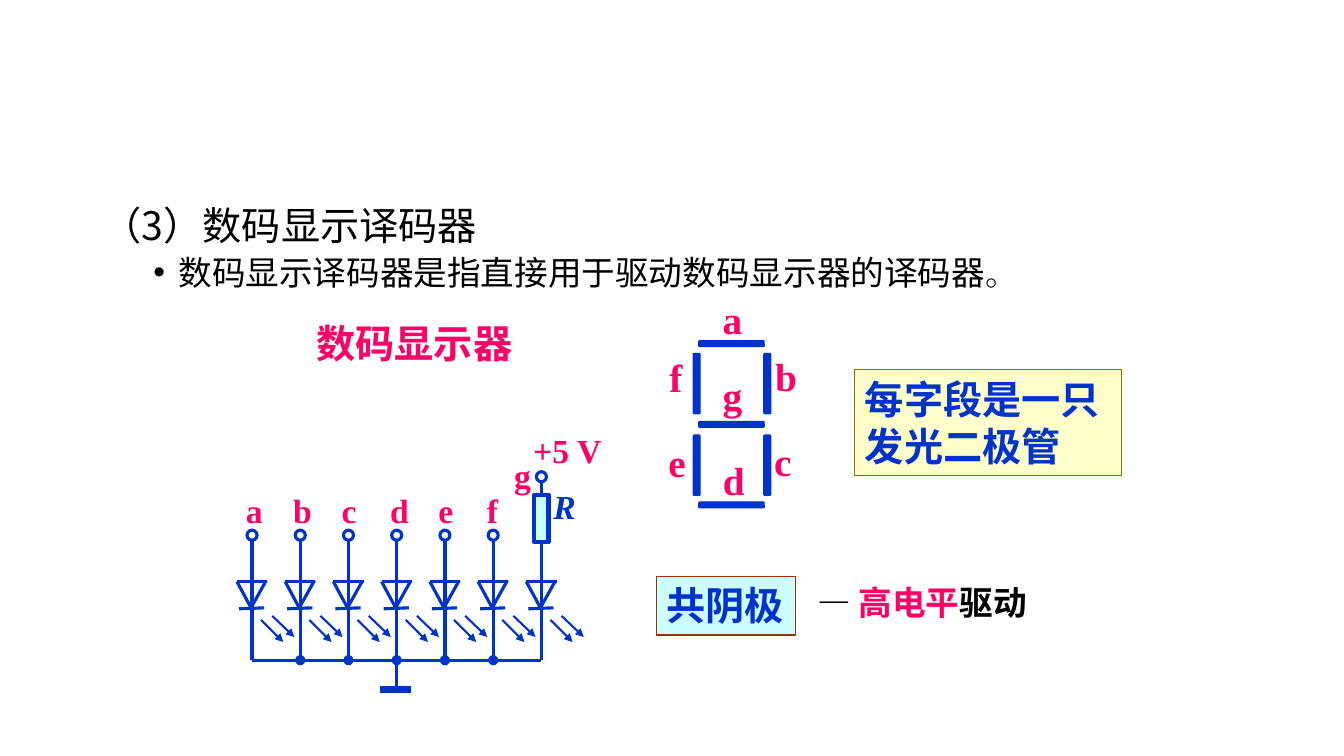
import typing

import pptx
import pptx.dml.color
import pptx.enum.shapes
import pptx.enum.text
import pptx.oxml
import pptx.oxml.ns
import pptx.util

Inches = pptx.util.Inches
Pt = pptx.util.Pt
RGBColor = pptx.dml.color.RGBColor
Shape = pptx.enum.shapes.MSO_SHAPE
qn = pptx.oxml.ns.qn

BLACK = RGBColor(0x00, 0x00, 0x00)
BLUE = RGBColor(0x00, 0x33, 0xCC)
PINK = RGBColor(0xFF, 0x00, 0x66)
CYAN = RGBColor(0xCC, 0xFF, 0xFF)
CREAM = RGBColor(0xFF, 0xFF, 0xCC)
OCHRE = RGBColor(0x99, 0x66, 0x00)
RUST = RGBColor(0x99, 0x33, 0x00)
SANS = "Noto Sans CJK SC"
SERIF = "Times New Roman"


class Letter(typing.NamedTuple):
    text: str
    left: float
    top: float
    width: float


class Stroke(typing.NamedTuple):
    """A line of the diode symbol; x is measured from the wire."""
    x1: float
    y1: float
    x2: float
    y2: float
    weight: float = 2.25
    arrow: bool = False


class Segment(typing.NamedTuple):
    left: float
    top: float
    upright: bool


SEGMENTS = (
    [Segment(6.93, top, False) for top in (3.38, 4.18, 4.98)]
    + [Segment(left, top, True) for left in (6.61, 7.31) for top in (3.77, 4.58)]
)
SEGMENT_LETTERS = [
    Letter("a", 7.07, 2.88, 0.4), Letter("b", 7.59, 3.45, 0.42),
    Letter("c", 7.58, 4.29, 0.37), Letter("d", 7.07, 4.48, 0.42),
    Letter("e", 6.53, 4.3, 0.37), Letter("f", 6.54, 3.46, 0.33),
    Letter("g", 7.07, 3.63, 0.4),
]
INPUT_LETTERS = [
    Letter("a", 2.34, 4.81, 0.37), Letter("b", 2.81, 4.81, 0.39),
    Letter("c", 3.29, 4.81, 0.35), Letter("d", 3.77, 4.81, 0.39),
    Letter("e", 4.25, 4.81, 0.35), Letter("f", 4.73, 4.81, 0.31),
    Letter("g", 5.0, 4.46, 0.37),
]
DIODE = [
    Stroke(-0.15, 5.77, 0.15, 5.77),
    Stroke(-0.01, 6.03, -0.15, 5.77),
    Stroke(0.14, 5.76, -0.01, 6.03),
    Stroke(-0.13, 6.04, 0.12, 6.03),
    Stroke(0.09, 6.15, 0.31, 6.37, 1.5, True),
    Stroke(0.2, 6.11, 0.42, 6.32, 1.5, True),
]
FIRST_WIRE, LAST_WIRE = 2.5, 5.37
WIRES = [FIRST_WIRE + i * (LAST_WIRE - FIRST_WIRE) / 6 for i in range(7)]
BUS_Y = 6.55


def write(paragraph, text: str, *, size: float, color: RGBColor = BLACK,
          face: str = SANS, bold: bool = True, italic: bool = False) -> None:
    run = paragraph.add_run()
    run.text = text
    font = run.font
    font.size, font.name, font.bold, font.italic = Pt(size), face, bold, italic
    font.color.rgb = color
    east_asian = pptx.oxml.parse_xml(
        f'<a:ea {pptx.oxml.ns.nsdecls("a")} typeface="{face}"/>')
    font._element.find(qn("a:latin")).addnext(east_asian)


def add_label(shapes, left: float, top: float, width: float, height: float,
              wrap: bool = False):
    """Add an empty text box and return its first paragraph."""
    frame = shapes.add_textbox(*map(Inches, (left, top, width, height))).text_frame
    frame.word_wrap = wrap
    return frame.paragraphs[0]


def add_part(shapes, kind, left: float, top: float, width: float, height: float, *,
             fill: RGBColor | None = BLUE, line: RGBColor = BLUE, weight: float = 0.75):
    part = shapes.add_shape(kind, *map(Inches, (left, top, width, height)))
    part.shadow.inherit = False
    if fill is None:
        part.fill.background()
    else:
        part.fill.solid()
        part.fill.fore_color.rgb = fill
    part.line.color.rgb = line
    part.line.width = Pt(weight)
    return part


def add_line(shapes, x1: float, y1: float, x2: float, y2: float,
             weight: float = 2.25, arrow: bool = False) -> None:
    line = shapes.add_connector(pptx.enum.shapes.MSO_CONNECTOR.STRAIGHT,
                                *map(Inches, (x1, y1, x2, y2)))
    line.line.color.rgb = BLUE
    line.line.width = Pt(weight)
    properties = line._element.spPr
    if arrow:
        tail = properties.find(qn("a:ln")).makeelement(qn("a:tailEnd"), {"type": "triangle"})
        properties.find(qn("a:ln")).append(tail)
    properties.append(properties.makeelement(qn("a:effectLst"), {}))


def add_callout(shapes, lines: list[str], left: float, top: float, width: float,
                height: float, *, fill: RGBColor, line: RGBColor, wrap: bool) -> None:
    box = add_part(shapes, Shape.RECTANGLE, left, top, width, height, fill=fill, line=line)
    frame = box.text_frame
    frame.word_wrap = wrap
    frame.vertical_anchor = pptx.enum.text.MSO_ANCHOR.TOP
    for i, text in enumerate(lines):
        paragraph = frame.add_paragraph() if i else frame.paragraphs[0]
        paragraph.alignment = pptx.enum.text.PP_ALIGN.LEFT
        write(paragraph, text, size=28, color=BLUE)


def format_item(paragraph, margin: float, indent: float, before: float, bullet: str) -> None:
    paragraph.line_spacing = 0.9
    paragraph.space_before = Pt(before)
    properties = paragraph._p.get_or_add_pPr()
    properties.set("marL", str(Inches(margin)))
    properties.set("indent", str(Inches(indent)))
    tag, attributes = ("a:buChar", {"char": bullet}) if bullet else ("a:buNone", {})
    properties.append(properties.makeelement(qn(tag), attributes))


def fill_body(body) -> None:
    body.left, body.top, body.width, body.height = map(Inches, (0.92, 2, 11.5, 4.76))
    frame = body.text_frame
    frame.auto_size = pptx.enum.text.MSO_AUTO_SIZE.NONE
    heading = frame.paragraphs[0]
    format_item(heading, 0, 0, 10, "")
    write(heading, "（3）数码显示译码器", size=28, bold=False)
    definition = frame.add_paragraph()
    definition.level = 1
    format_item(definition, 0.75, -0.25, 5, "•")
    write(definition, "数码显示译码器是指直接用于驱动数码显示器的译码器", size=24, bold=False)
    write(definition, "。", size=24, face=SERIF, bold=False)


def draw_display(shapes) -> None:
    for segment in SEGMENTS:
        width, height = (0.6, 0.07) if segment.upright else (0.65, 0.06)
        bar = add_part(shapes, Shape.ROUNDED_RECTANGLE, segment.left, segment.top, width, height)
        bar.rotation = 270 if segment.upright else 0
    for text, left, top, width in SEGMENT_LETTERS:
        write(add_label(shapes, left, top, width, 0.57), text, size=28, color=PINK, face=SERIF)


def draw_circuit(shapes) -> None:
    for wire, letter in zip(WIRES, INPUT_LETTERS):
        for stroke in DIODE:
            add_line(shapes, wire + stroke.x1, stroke.y1, wire + stroke.x2, stroke.y2,
                     stroke.weight, stroke.arrow)
        terminal = 4.68 if letter.text == "g" else 5.26
        add_line(shapes, wire, BUS_Y, wire, terminal + 0.1)
        add_part(shapes, Shape.OVAL, wire - 0.05, terminal, 0.1, 0.1, fill=None, weight=2.25)
        write(add_label(shapes, letter.left, letter.top, letter.width, 0.5), letter.text,
              size=24, color=PINK, face=SERIF)
    add_line(shapes, FIRST_WIRE, BUS_Y, LAST_WIRE, BUS_Y)
    for wire in WIRES[1:-1]:
        add_part(shapes, Shape.OVAL, wire - 0.04, BUS_Y - 0.04, 0.08, 0.08, weight=1.5)
    add_part(shapes, Shape.RECTANGLE, 5.3, 4.91, 0.14, 0.47, fill=CYAN, weight=3)
    add_line(shapes, 3.93, 6.84, 3.93, BUS_Y)
    add_line(shapes, 3.77, 6.84, 4.08, 6.84, 4.5)
    write(add_label(shapes, 5.39, 4.77, 0.42, 0.5), "R",
          size=24, color=BLUE, face=SERIF, italic=True)
    write(add_label(shapes, 5.19, 4.22, 0.88, 0.5), "+5 V", size=24, color=PINK, face=SERIF)


def main() -> None:
    deck = pptx.Presentation()
    deck.slide_width, deck.slide_height = Inches(13.33), Inches(7.5)
    slide = deck.slides.add_slide(deck.slide_layouts[1])
    shapes = slide.shapes
    unused_title = shapes.title._element
    unused_title.getparent().remove(unused_title)
    fill_body(slide.placeholders[1])

    add_callout(shapes, ["每字段是一只", "发光二极管"], 8.48, 3.67, 2.64, 1.05,
                fill=CREAM, line=OCHRE, wrap=True)
    write(add_label(shapes, 3.04, 3.12, 2.6, 0.57, wrap=True), "数码显示器", size=28, color=PINK)
    draw_display(shapes.add_group_shape().shapes)
    add_callout(shapes, ["共阴极"], 6.51, 5.72, 1.38, 0.58, fill=CYAN, line=RUST, wrap=False)
    draw_circuit(shapes.add_group_shape().shapes)
    drive = add_label(shapes, 8.01, 5.72, 2.9, 0.5, wrap=True)
    for text, color in (("— ", BLACK), ("高电平", PINK), ("驱动", BLACK)):
        write(drive, text, size=24, color=color)
    deck.save("out.pptx")


if __name__ == "__main__":
    main()
